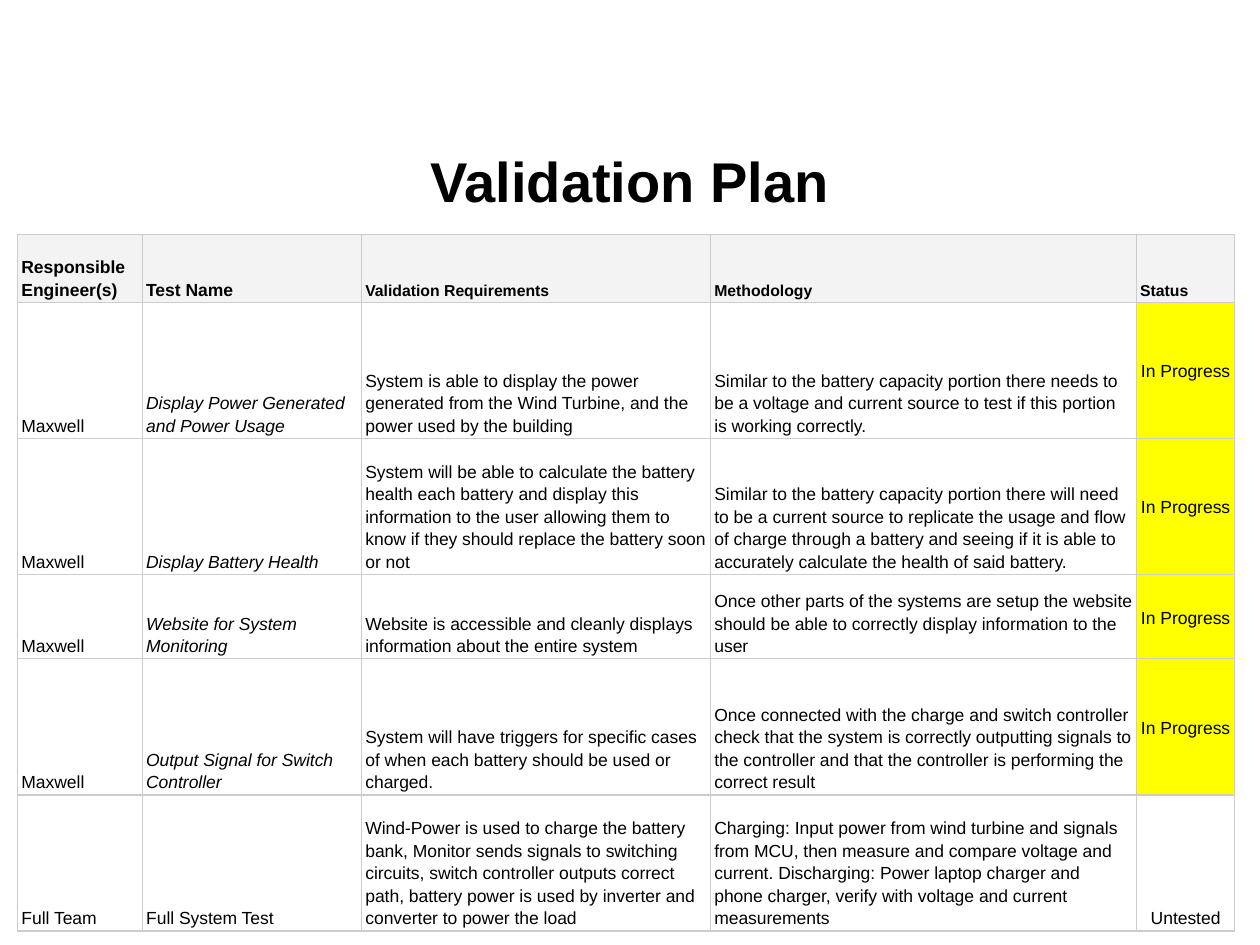
from lxml import etree
from pptx import Presentation
from pptx.dml.color import RGBColor
from pptx.enum.text import MSO_ANCHOR, PP_ALIGN
from pptx.oxml.ns import qn
from pptx.util import Inches, Pt

BOTTOM, MIDDLE = MSO_ANCHOR.BOTTOM, MSO_ANCHOR.MIDDLE
LEFT, CENTER = PP_ALIGN.LEFT, PP_ALIGN.CENTER
FONT = "Arial"
BLACK, HEADER_GREY, BORDER_GREY, YELLOW = "000000", "F3F3F3", "CCCCCC", "FFFF00"
COLUMN_WIDTHS = [0.99, 1.74, 2.77, 3.38, 0.78]
ROW_HEIGHTS = [0.54, 1.08, 1.08, 0.67, 1.08, 1.08]
HEADER_SIZES = [10, 10, 9, 9, 9]
STATUS_COLUMN = 4
IN_PROGRESS = "In Progress"
FULL_SYSTEM = "Full System Test"
ROWS = [
    ["Responsible Engineer(s)", "Test Name", "Validation Requirements", "Methodology", "Status"],
    ["Maxwell", "Display Power Generated and Power Usage",
     "System is able to display the power generated from the Wind Turbine, and the power used "
     "by the building",
     "Similar to the battery capacity portion there needs to be a voltage and current source to "
     "test if this portion is working correctly.", IN_PROGRESS],
    ["Maxwell", "Display Battery Health",
     "System will be able to calculate the battery health each battery and display this "
     "information to the user allowing them to know if they should replace the battery soon or not",
     "Similar to the battery capacity portion there will need to be a current source to replicate "
     "the usage and flow of charge through a battery and seeing if it is able to accurately "
     "calculate the health of said battery.", IN_PROGRESS],
    ["Maxwell", "Website for System Monitoring",
     "Website is accessible and cleanly displays\ninformation about the entire system",
     "Once other parts of the systems are setup the website should be able to correctly display "
     "information to the user", IN_PROGRESS],
    ["Maxwell", "Output Signal for Switch Controller",
     "System will have triggers for specific cases of when each battery should be used or charged.",
     "Once connected with the charge and switch controller check that the system is correctly "
     "outputting signals to the controller and that the controller is performing the correct "
     "result", IN_PROGRESS],
    ["Full Team", FULL_SYSTEM,
     "Wind-Power is used to charge the battery bank, Monitor sends signals to switching circuits, "
     "switch controller outputs correct path, battery power is used by inverter and converter to "
     "power the load",
     "Charging: Input power from wind turbine and signals from MCU, then measure and compare "
     "voltage and current. Discharging: Power laptop charger and phone charger, verify with "
     "voltage and current measurements", "Untested"],
]


def color(value):
    return RGBColor.from_string(value)


def style_paragraph(para, size, bold=False, italic=False, align=LEFT):
    para.alignment = align
    font = para.font
    font.name, font.size = FONT, Pt(size)
    font.bold, font.italic = bold, italic
    font.color.rgb = color(BLACK)


def add_title(page, text):
    box = page.shapes.add_textbox(Inches(0.5), Inches(0.99), Inches(9), Inches(0.88))
    frame = box.text_frame
    frame.word_wrap = True
    frame.vertical_anchor = MIDDLE
    frame.text = text
    style_paragraph(frame.paragraphs[0], 32, bold=True, align=CENTER)


def set_borders(cell):
    properties = cell._tc.get_or_add_tcPr()
    for side in ("a:lnL", "a:lnR", "a:lnT", "a:lnB"):
        line = etree.SubElement(properties, qn(side), w=str(Pt(0.75)))
        fill = etree.SubElement(line, qn("a:solidFill"))
        etree.SubElement(fill, qn("a:srgbClr"), val=BORDER_GREY)


def set_fill(cell, value):
    if value:
        cell.fill.solid()
        cell.fill.fore_color.rgb = color(value)
    else:
        cell.fill.background()


def fill_cell(cell, text, row, column):
    header = row == 0
    in_progress = text == IN_PROGRESS
    cell.margin_left = cell.margin_right = Inches(0.03)
    cell.margin_top = cell.margin_bottom = Inches(0.02)
    cell.vertical_anchor = MIDDLE if in_progress else BOTTOM
    set_borders(cell)
    set_fill(cell, HEADER_GREY if header else YELLOW if in_progress else None)
    cell.text = text
    size = HEADER_SIZES[column] if header else 10
    italic = column == 1 and not header and text != FULL_SYSTEM
    align = CENTER if column == STATUS_COLUMN and not header else LEFT
    for para in cell.text_frame.paragraphs:
        para.line_spacing = 1.15
        style_paragraph(para, size, header, italic, align)


def add_plan_table(page):
    frame = page.shapes.add_table(
        len(ROWS), len(COLUMN_WIDTHS), Inches(0.14), Inches(1.86),
        Inches(sum(COLUMN_WIDTHS)), Inches(sum(ROW_HEIGHTS)))
    table = frame.table
    table.first_row = table.horz_banding = False
    for column, width in zip(table.columns, COLUMN_WIDTHS):
        column.width = Inches(width)
    for row, height in zip(table.rows, ROW_HEIGHTS):
        row.height = Inches(height)
    for row, texts in enumerate(ROWS):
        for column, text in enumerate(texts):
            fill_cell(table.cell(row, column), text, row, column)


def main():
    deck = Presentation()
    deck.slide_width, deck.slide_height = Inches(10), Inches(7.5)
    page = deck.slides.add_slide(deck.slide_layouts[6])
    add_title(page, "Validation Plan")
    add_plan_table(page)
    deck.save("out.pptx")


if __name__ == "__main__":
    main()
